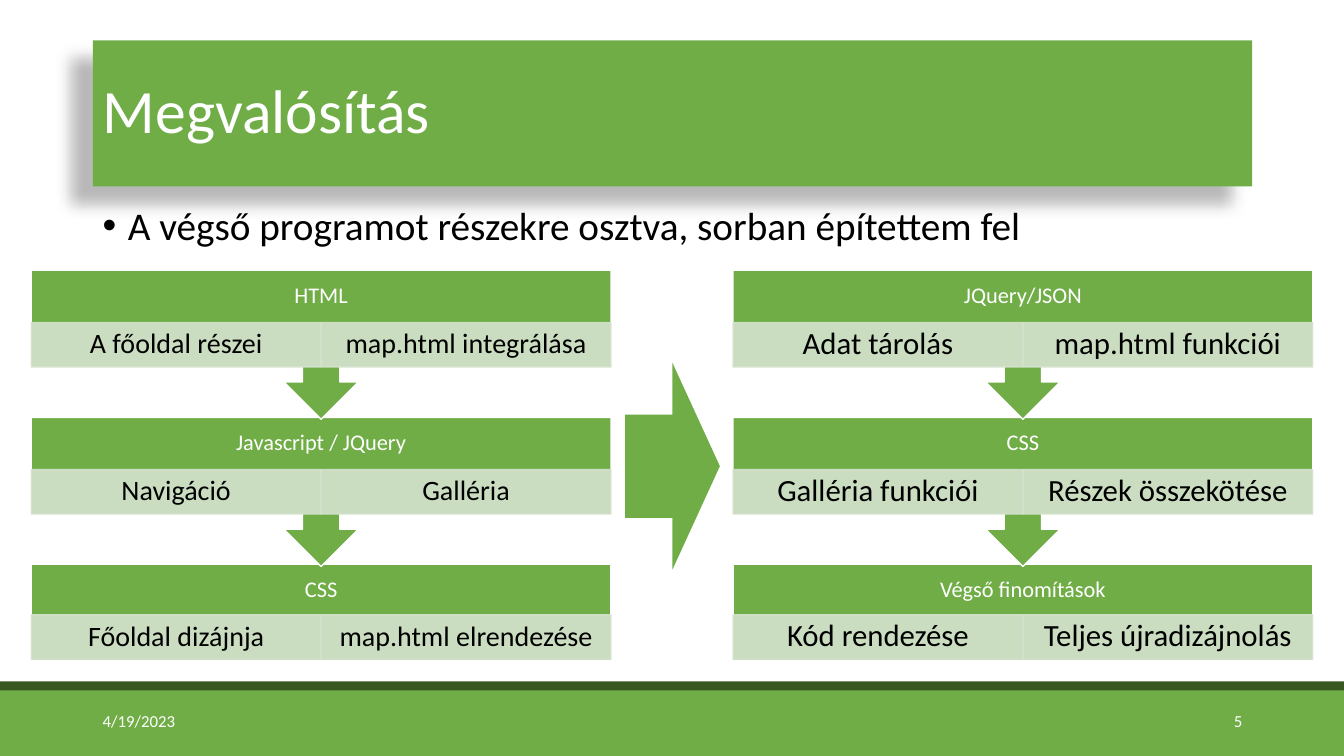
from pptx import Presentation
from pptx.dml.color import RGBColor
from pptx.enum.shapes import MSO_SHAPE
from pptx.enum.text import MSO_ANCHOR, PP_ALIGN
from pptx.oxml import parse_xml
from pptx.oxml.ns import nsdecls, qn
from pptx.util import Inches, Pt
from lxml.etree import SubElement

COLORS = {"green": "70AD47", "dark": "385723", "pale": "D5E3CF",
          "white": "FFFFFF", "black": "000000"}


def write(shape, text, size, color, align=PP_ALIGN.LEFT, insets=(0.1, 0.05, 0.1, 0.05),
          anchor=MSO_ANCHOR.MIDDLE, spacing=0.9):
    """Insets are left, top, right, bottom in inches."""
    frame = shape.text_frame
    frame.text = text
    left, top, right, bottom = (Inches(inset) for inset in insets)
    frame_format = {"word_wrap": True, "vertical_anchor": anchor, "margin_left": left,
                    "margin_top": top, "margin_right": right, "margin_bottom": bottom}
    for name, value in frame_format.items():
        setattr(frame, name, value)
    paragraph = frame.paragraphs[0]
    paragraph.alignment = align
    paragraph.line_spacing = spacing
    font = paragraph.runs[0].font
    font.name, font.size = "Calibri", Pt(size)
    font.color.rgb = RGBColor.from_string(COLORS[color])
    return paragraph


def draw(kind, left, top, width, height, fill, line=None, opacity=None):
    """Opacity is in percent and applies to fill and line."""
    shape = slide.shapes.add_shape(kind, Inches(left), Inches(top), Inches(width), Inches(height))
    shape.shadow.inherit = False
    shape.fill.solid()
    shape.fill.fore_color.rgb = RGBColor.from_string(COLORS[fill])
    if line:
        shape.line.color.rgb = RGBColor.from_string(COLORS[line])
        shape.line.width = Pt(1)
    else:
        shape.line.fill.background()
    if opacity:
        for color in shape._element.spPr.iter(qn("a:srgbClr")):
            SubElement(color, qn("a:alpha")).set("val", str(opacity * 1000))
    return shape


prs = Presentation()
prs.slide_width, prs.slide_height = Inches(13.33), Inches(7.5)
slide = prs.slides.add_slide(prs.slide_layouts[5])

# Footer bands
draw(MSO_SHAPE.RECTANGLE, 0, 6.76, 13.33, 0.74, "dark")
draw(MSO_SHAPE.RECTANGLE, 0, 6.85, 13.33, 0.65, "green")

# Title with a shadow to the lower left
title = slide.shapes.title
title.left, title.top, title.width, title.height = (
    Inches(0.92), Inches(0.4), Inches(11.5), Inches(1.45))
title.fill.solid()
title.fill.fore_color.rgb = RGBColor.from_string(COLORS["green"])
write(title, "Megvalósítás", 44, "white")
title._element.spPr.append(parse_xml(
    f'<a:effectLst {nsdecls("a")}><a:outerShdw blurRad="{Pt(11.8)}" dist="{Pt(19.7)}" '
    f'dir="{141 * 60000}" algn="tr" rotWithShape="0"><a:srgbClr val="{COLORS["black"]}">'
    '<a:alpha val="28000"/></a:srgbClr></a:outerShdw></a:effectLst>'))

# Introduction
intro = slide.shapes.add_textbox(Inches(0.92), Inches(2), Inches(11.5), Inches(4.76))
bullet_line = write(intro, "A végső programot részekre osztva, sorban építettem fel", 28,
                    "black", anchor=MSO_ANCHOR.TOP)
bullet_line.space_before = Pt(10)
bullet_format = bullet_line._p.get_or_add_pPr()
bullet_format.set("marL", str(Inches(0.25)))
bullet_format.set("indent", str(-Inches(0.25)))
SubElement(bullet_format, qn("a:buFont")).set("typeface", "Arial")
SubElement(bullet_format, qn("a:buChar")).set("char", "•")

# Date and slide number
for text, left, align in (("4/19/2023", 0.92, PP_ALIGN.LEFT), ("5", 9.42, PP_ALIGN.RIGHT)):
    footer = slide.shapes.add_textbox(Inches(left), Inches(6.95), Inches(3), Inches(0.4))
    write(footer, text, 12, "white", align, spacing=1)

# Two columns of three stages, drawn from the last stage up
STAGE_WIDTH, STAGE_PITCH, BODY_HEIGHT, TASK_HEIGHT = 5.75, 1.46, 0.96, 0.44
columns = [
    (0.31, 20, [("HTML", ("A főoldal részei", "map.html integrálása")),
                ("Javascript / JQuery", ("Navigáció", "Galléria")),
                ("CSS", ("Főoldal dizájnja", "map.html elrendezése"))]),
    (7.27, 22, [("JQuery/JSON", ("Adat tárolás", "map.html funkciói")),
                ("CSS", ("Galléria funkciói", "Részek összekötése")),
                ("Végső finomítások", ("Kód rendezése", "Teljes újradizájnolás"))]),
]
for left, task_size, stages in columns:
    for row, (heading, tasks) in reversed(list(enumerate(stages))):
        top = 2.68 + row * STAGE_PITCH
        is_last = row == len(stages) - 1
        kind = MSO_SHAPE.RECTANGLE if is_last else MSO_SHAPE.DOWN_ARROW_CALLOUT
        stage = draw(kind, left, top, STAGE_WIDTH, BODY_HEIGHT if is_last else 1.48,
                     "green", "white")
        write(stage, heading, 16, "white", PP_ALIGN.CENTER,
              (0.12, 0.12, 0.12, TASK_HEIGHT + 0.12))
        task_top = top + (0.5 if is_last else 0.52)
        for half, task in enumerate(tasks):
            box = draw(MSO_SHAPE.RECTANGLE, left + half * STAGE_WIDTH / 2, task_top,
                       STAGE_WIDTH / 2, TASK_HEIGHT, "pale", "pale", 90)
            write(box, task, task_size, "black", PP_ALIGN.CENTER, (0.16, 0.03, 0.16, 0.03))

draw(MSO_SHAPE.RIGHT_ARROW, 6.2, 3.6, 0.94, 2.05, "green")

prs.save("out.pptx")
